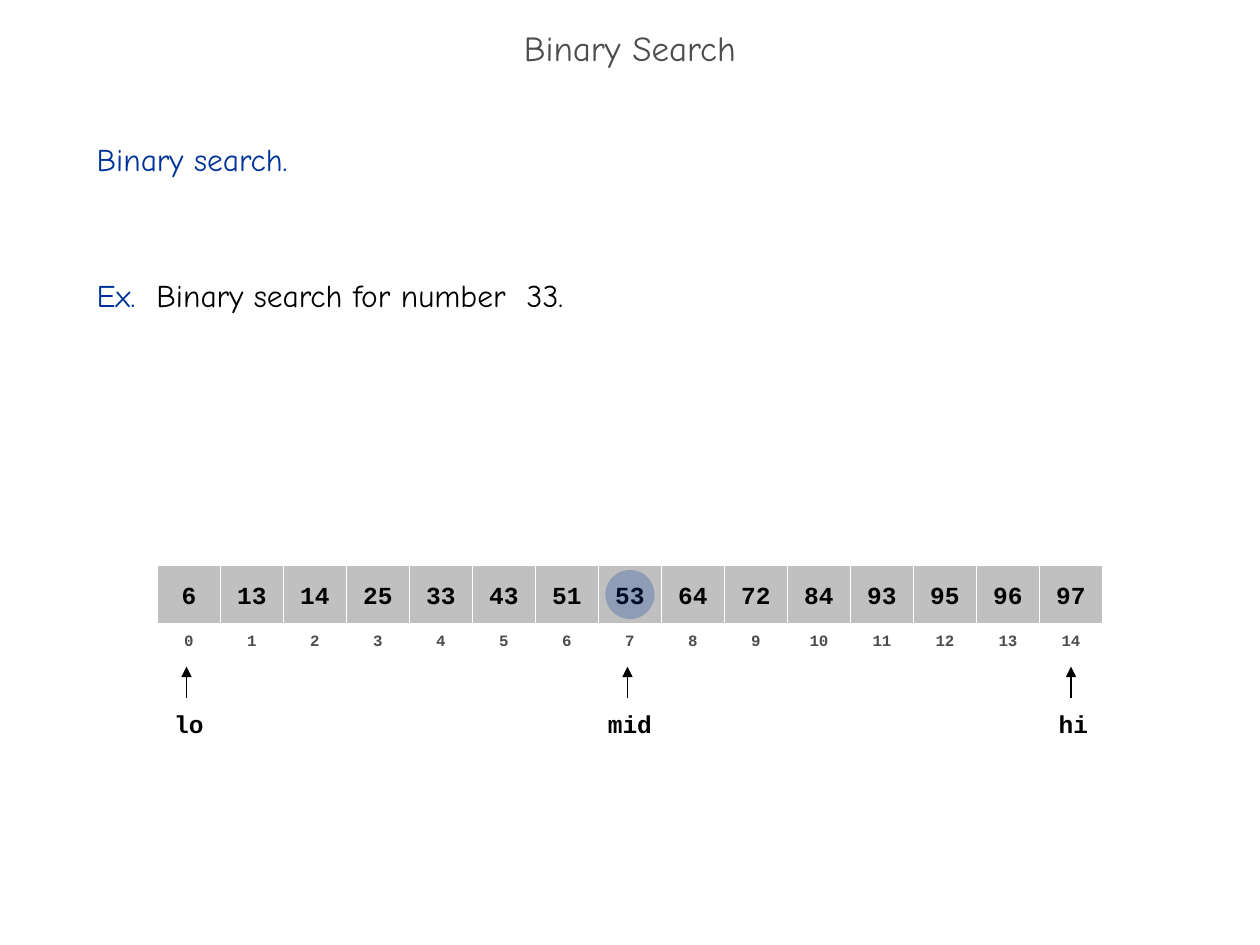
from dataclasses import dataclass

from lxml.etree import SubElement
from pptx import Presentation
from pptx.dml.color import RGBColor
from pptx.enum.shapes import MSO_CONNECTOR, MSO_SHAPE
from pptx.enum.text import MSO_ANCHOR, MSO_AUTO_SIZE, PP_ALIGN
from pptx.oxml.ns import qn
from pptx.shapes.autoshape import Shape
from pptx.shapes.shapetree import SlideShapes
from pptx.text.text import _Paragraph as Paragraph
from pptx.util import Cm, Length, Pt

BLACK = RGBColor(0x00, 0x00, 0x00)
WHITE = RGBColor(0xFF, 0xFF, 0xFF)
DARK_GREY = RGBColor(0x4D, 0x4D, 0x4D)
CELL_GREY = RGBColor(0xC0, 0xC0, 0xC0)
BLUE = RGBColor(0x00, 0x33, 0x99)

HEADING_FORMAT = {"name": "Comic Neue", "size": Pt(20)}
BODY_FORMAT = {"name": "Comic Neue", "size": Pt(18)}
VALUE_FORMAT = {"name": "Courier New", "size": Pt(14), "bold": True}
INDEX_FORMAT = {"name": "Courier New", "size": Pt(9), "bold": True}

NUMBERS = [6, 13, 14, 25, 33, 43, 51, 53, 64, 72, 84, 93, 95, 96, 97]
SLIDE_WIDTH = Cm(25.4)
CELL_WIDTH = Cm(1.27)
ARRAY_LEFT = (SLIDE_WIDTH - len(NUMBERS) * CELL_WIDTH) // 2
BODY_LINE = Pt(26)


@dataclass(frozen=True)
class Row:
    top: Length
    height: Length
    text_format: dict
    color: RGBColor
    fill: RGBColor | None = None


@dataclass(frozen=True)
class Pointer:
    name: str
    index: int
    label_width: Length
    label_shift: Length = Cm(0)
    arrow_shift: Length = Cm(0)


VALUE_ROW = Row(Cm(11.4), Cm(1.17), VALUE_FORMAT, BLACK, CELL_GREY)
INDEX_ROW = Row(Cm(12.65), Cm(0.53), INDEX_FORMAT, DARK_GREY)
POINTERS = [
    Pointer("lo", 0, Cm(1.12), arrow_shift=Cm(-0.05)),
    Pointer("hi", 14, Cm(1.12), label_shift=Cm(0.05)),
    Pointer("mid", 7, Cm(1.4), arrow_shift=Cm(-0.05)),
]


def cell_center(index: int) -> int:
    return ARRAY_LEFT + index * CELL_WIDTH + CELL_WIDTH // 2


def add_span(para: Paragraph, text: str, color: RGBColor, text_format: dict) -> None:
    span = para.add_run()
    span.text = text
    for attribute, value in text_format.items():
        setattr(span.font, attribute, value)
    span.font.color.rgb = color


def add_text_box(shapes: SlideShapes, left: int, top: int, width: int,
                 height: int, wrap: bool = True) -> Shape:
    box = shapes.add_textbox(left, top, width, height)
    box.text_frame.word_wrap = wrap
    return box


def add_title(shapes: SlideShapes) -> None:
    box = add_text_box(shapes, Cm(0), Cm(0.43), SLIDE_WIDTH, Cm(1.27))
    box.text_frame.vertical_anchor = MSO_ANCHOR.MIDDLE
    para = box.text_frame.paragraphs[0]
    para.alignment = PP_ALIGN.CENTER
    para.line_spacing = 0.7
    add_span(para, "Binary Search", DARK_GREY, HEADING_FORMAT)


def add_body(shapes: SlideShapes) -> None:
    box = add_text_box(shapes, Cm(1.7), Cm(2.54), Cm(21.79), Cm(15.04))
    topic = box.text_frame.paragraphs[0]
    add_span(topic, "Binary search.", BLUE, BODY_FORMAT)
    example = box.text_frame.add_paragraph()
    example.space_before = 2 * BODY_LINE
    add_span(example, "Ex.  ", BLUE, BODY_FORMAT)
    add_span(example, "Binary search for number  33.", BLACK, BODY_FORMAT)
    for para in (topic, example):
        para.line_spacing = BODY_LINE


def add_row(shapes: SlideShapes, row: Row, values: list[int]) -> None:
    for index, value in enumerate(values):
        cell = shapes.add_shape(MSO_SHAPE.RECTANGLE, ARRAY_LEFT + index * CELL_WIDTH,
                                row.top, CELL_WIDTH, row.height)
        cell.shadow.inherit = False
        if row.fill is None:
            cell.fill.background()
        else:
            cell.fill.solid()
            cell.fill.fore_color.rgb = row.fill
        cell.line.color.rgb = WHITE
        cell.line.width = Pt(0.75)
        frame = cell.text_frame
        frame.word_wrap = False
        frame.vertical_anchor = MSO_ANCHOR.MIDDLE
        para = frame.paragraphs[0]
        para.alignment = PP_ALIGN.CENTER
        add_span(para, str(value), row.color, row.text_format)


def add_pointer(shapes: SlideShapes, pointer: Pointer) -> None:
    """Add a label below the array and an arrow up to its cell."""
    center = cell_center(pointer.index)
    left = center + pointer.label_shift - pointer.label_width // 2
    box = add_text_box(shapes, left, Cm(14.17), pointer.label_width, Cm(0.84), wrap=False)
    box.text_frame.auto_size = MSO_AUTO_SIZE.SHAPE_TO_FIT_TEXT
    para = box.text_frame.paragraphs[0]
    para.alignment = PP_ALIGN.CENTER
    add_span(para, pointer.name, BLACK, VALUE_FORMAT)

    x = center + pointer.arrow_shift
    arrow = shapes.add_connector(MSO_CONNECTOR.STRAIGHT, x, Cm(14.07), x, Cm(13.44))
    arrow.line.color.rgb = BLACK
    arrow.line.width = Pt(0.75)
    SubElement(arrow.line._get_or_add_ln(), qn("a:tailEnd"), type="triangle")
    SubElement(arrow._element.spPr, qn("a:effectLst"))


def add_highlight(shapes: SlideShapes, index: int) -> None:
    """Lay a translucent circle over the value at the index."""
    size = Cm(0.99)
    top = VALUE_ROW.top + (VALUE_ROW.height - size) // 2
    circle = shapes.add_shape(MSO_SHAPE.OVAL, cell_center(index) - size // 2, top, size, size)
    circle.shadow.inherit = False
    circle.fill.solid()
    circle.fill.fore_color.rgb = BLUE
    color = circle._element.spPr.find(qn("a:solidFill")).find(qn("a:srgbClr"))
    SubElement(color, qn("a:alpha"), val="25000")
    circle.line.fill.background()


def main() -> None:
    deck = Presentation()
    deck.slide_width, deck.slide_height = SLIDE_WIDTH, Cm(19.05)
    page = deck.slides.add_slide(deck.slide_layouts[6])
    add_title(page.shapes)
    add_body(page.shapes)
    add_row(page.shapes, INDEX_ROW, list(range(len(NUMBERS))))
    add_row(page.shapes, VALUE_ROW, NUMBERS)
    for pointer in POINTERS:
        add_pointer(page.shapes, pointer)
    add_highlight(page.shapes, 7)
    deck.save("out.pptx")


if __name__ == "__main__":
    main()
